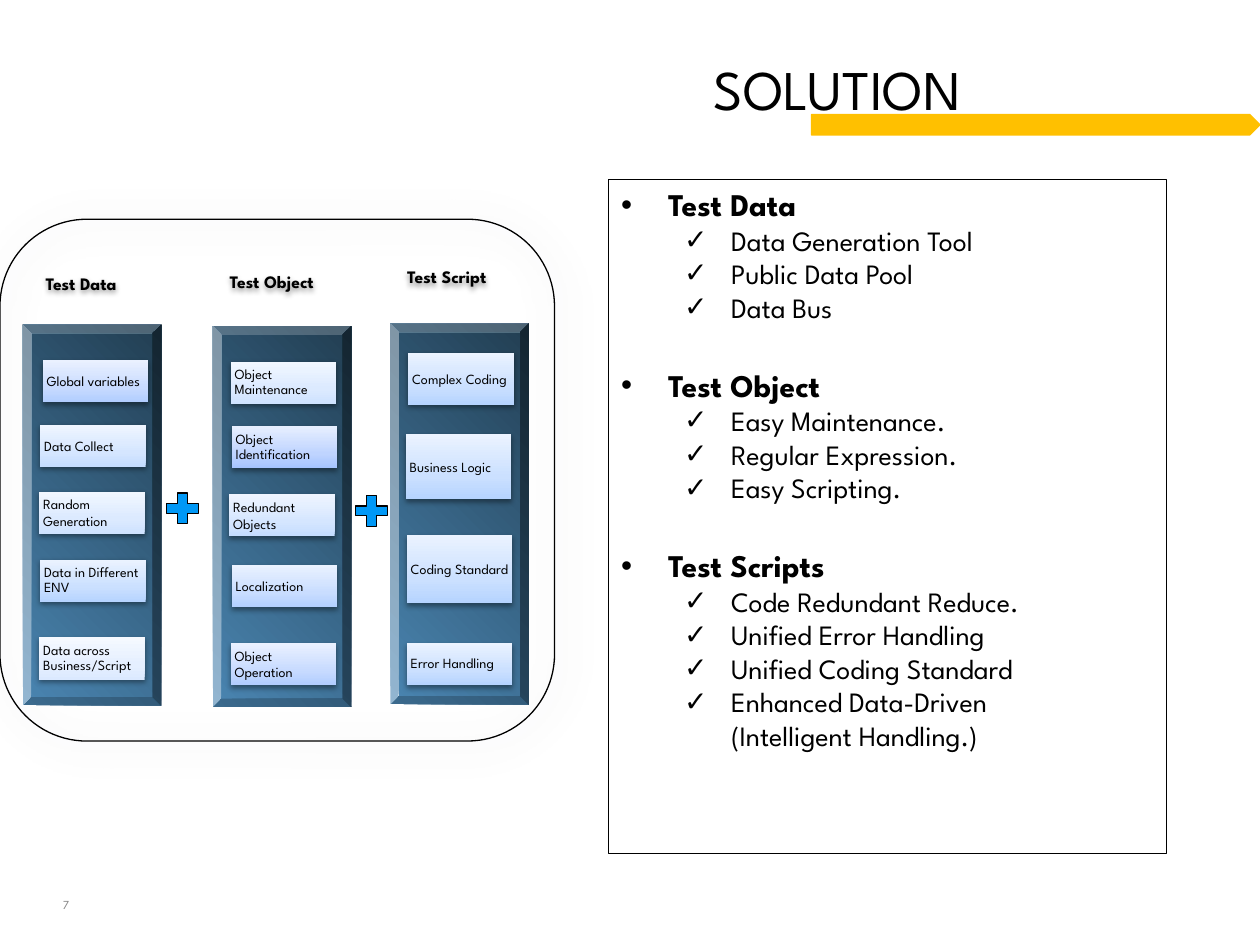
from dataclasses import dataclass
from typing import Optional

from pptx import Presentation
from pptx.dml.color import RGBColor
from pptx.enum.shapes import MSO_SHAPE
from pptx.enum.text import MSO_ANCHOR, MSO_AUTO_SIZE, PP_ALIGN
from pptx.oxml import parse_xml
from pptx.oxml.ns import nsdecls, qn
from pptx.util import Cm, Pt


@dataclass(frozen=True)
class Theme:
    font: str = "League Spartan"
    ink: str = "000000"
    muted: str = "878787"
    accent: str = "FFC000"
    plus: str = "0098F6"
    panel_shadow: str = "002060"
    pillar: tuple = ((0, "4A85B1"), (100, "223E52"))
    title_size: float = 32
    topic_size: float = 18
    point_size: float = 16
    heading_size: float = 10
    card_size: float = 8
    number_size: float = 7


@dataclass(frozen=True)
class Place:
    left: float
    top: float
    width: float
    height: float

    def lengths(self) -> tuple:
        return Cm(self.left), Cm(self.top), Cm(self.width), Cm(self.height)


@dataclass(frozen=True)
class Card:
    text: str
    left: float
    top: float
    tint: tuple
    height: float = 0.85
    spacing: float = 1.0


@dataclass(frozen=True)
class Column:
    heading: str
    heading_place: Place
    left: float
    top: float
    cards: tuple
    plus: Optional[Place] = None


@dataclass(frozen=True)
class Topic:
    name: str
    points: tuple


THEME = Theme()
INDIGO = ("A5C4FF", "BFD4FF", "E7EFFF")
PERIWINKLE = ("B1CDFF", "C8DBFF", "EAF1FF")
AZURE = ("B2D0FF", "C9DDFF", "EAF2FF")
SKY = ("B6D4FF", "CBE0FF", "EBF3FF")
POWDER = ("C5DDFF", "D5E6FF", "EFF5FF")
MIST = ("CFE3FF", "DCEAFF", "F1F7FF")
FROST = ("DBE9FF", "E5EFFF", "F5F9FF")

COLUMNS = (
    Column("Test Data", Place(0.84, 5.31, 2.13, 0.85), 0.46, 6.55, (
        Card("Global variables", 0.86, 7.26, PERIWINKLE),
        Card("Data Collect", 0.81, 8.56, POWDER),
        Card("Random Generation", 0.79, 9.91, MIST),
        Card("Data in Different ENV", 0.81, 11.28, SKY, spacing=0.9),
        Card("Data across Business/Script", 0.79, 12.85, FROST, spacing=0.9),
    )),
    Column("Test Object", Place(4.55, 5.23, 2.29, 0.94), 4.29, 6.58, (
        Card("Object Maintenance", 4.65, 7.29, MIST, spacing=0.9),
        Card("Object Identification", 4.67, 8.59, INDIGO, spacing=0.9),
        Card("Redundant Objects", 4.62, 9.96, POWDER),
        Card("Localization", 4.67, 11.39, AZURE),
        Card("Object Operation", 4.65, 12.96, PERIWINKLE),
    ), Place(3.25, 9.83, 0.86, 0.84)),
    Column("Test Script", Place(8.13, 5.18, 2.13, 0.85), 7.87, 6.53, (
        Card("Complex Coding", 8.23, 7.11, SKY, 1.05),
        Card("Business Logic", 8.18, 8.75, SKY, 1.31),
        Card("Coding Standard", 8.2, 10.78, SKY, 1.38),
        Card("Error Handling", 8.2, 12.96, SKY, spacing=0.9),
    ), Place(7.06, 9.88, 0.86, 0.84)),
)

TOPICS = (
    Topic("Test Data", ("Data Generation Tool", "Public Data Pool", "Data Bus")),
    Topic("Test Object", ("Easy Maintenance.", "Regular Expression.", "Easy Scripting.")),
    Topic("Test Scripts", ("Code Redundant Reduce.", "Unified Error Handling",
                           "Unified Coding Standard",
                           "Enhanced Data-Driven\n(Intelligent Handling.)")),
)


def add_box(shapes, kind, place: Place, *, fill=None, line=None, weight=0.75):
    box = shapes.add_shape(kind, *place.lengths())
    box.shadow.inherit = False
    if fill:
        box.fill.solid()
        box.fill.fore_color.rgb = RGBColor.from_string(fill)
    else:
        box.fill.background()
    if line:
        box.line.color.rgb = RGBColor.from_string(line)
        box.line.width = Pt(weight)
    else:
        box.line.fill.background()
    return box


def set_gradient(box, stops: tuple, angle: int) -> None:
    box.fill.gradient()
    current = box.element.spPr.find(qn("a:gradFill"))
    marks = "".join(f'<a:gs pos="{position * 1000}"><a:srgbClr val="{color}"/></a:gs>'
                    for position, color in stops)
    current.getparent().replace(current, parse_xml(
        f'<a:gradFill {nsdecls("a")} rotWithShape="1"><a:gsLst>{marks}</a:gsLst>'
        f'<a:lin ang="{angle * 60000}" scaled="0"/></a:gradFill>'))


def set_shadow(box, color=THEME.ink, alpha=38, blur=3.1, distance=1.6, angle=90) -> None:
    box.element.spPr.find(qn("a:effectLst")).append(parse_xml(
        f'<a:outerShdw {nsdecls("a")} blurRad="{Pt(blur)}" dist="{Pt(distance)}" '
        f'dir="{angle * 60000}" algn="ctr" rotWithShape="0"><a:srgbClr val="{color}">'
        f'<a:alpha val="{alpha * 1000}"/></a:srgbClr></a:outerShdw>'))


def write(para, text: str, *, size: float, color=THEME.ink, bold=False, spacing=None) -> None:
    para.alignment = PP_ALIGN.LEFT
    if spacing:
        para.line_spacing = spacing
    for index, line in enumerate(text.split("\n")):
        if index:
            para.add_line_break()
        span = para.add_run()
        span.text = line
        span.font.name = THEME.font
        span.font.size = Pt(size)
        span.font.bold = bold
        span.font.color.rgb = RGBColor.from_string(color)


def write_label(box, text: str, **style) -> None:
    frame = box.text_frame
    frame.word_wrap = True
    frame.vertical_anchor = MSO_ANCHOR.MIDDLE
    frame.margin_left = frame.margin_right = frame.margin_top = frame.margin_bottom = Cm(0.08)
    write(frame.paragraphs[0], text, **style)


def set_bullet(para, symbol: str, indent: float) -> None:
    properties = para._p.get_or_add_pPr()
    properties.set("marL", str(Cm(indent)))
    properties.set("indent", str(-Cm(0.95)))
    properties.append(parse_xml(f'<a:buFont {nsdecls("a")} typeface="Arial"/>'))
    properties.append(parse_xml(f'<a:buChar {nsdecls("a")} char="{symbol}"/>'))


def add_title(slide) -> None:
    title = slide.shapes.title
    title.left, title.top, title.width, title.height = Place(0.94, 1.17, 23.27, 2.44).lengths()
    frame = title.text_frame
    frame.auto_size = MSO_AUTO_SIZE.NONE
    frame.vertical_anchor = MSO_ANCHOR.TOP
    frame.margin_left = Cm(13.45)
    write(frame.paragraphs[0], "SOLUTION", size=THEME.title_size, spacing=Pt(33))
    arrow = add_box(slide.shapes, MSO_SHAPE.PENTAGON, Place(16.36, 2.31, 9.04, 0.41),
                    fill=THEME.accent, line=THEME.accent)
    title.element.addprevious(arrow.element)


def add_topics(slide) -> None:
    box = add_box(slide.shapes, MSO_SHAPE.RECTANGLE, Place(12.27, 3.61, 11.25, 13.59),
                  line=THEME.ink, weight=0.25)
    frame = box.text_frame
    frame.word_wrap = True
    frame.vertical_anchor = MSO_ANCHOR.TOP
    for index, topic in enumerate(TOPICS):
        para = frame.add_paragraph() if index else frame.paragraphs[0]
        set_bullet(para, "•", 0.95)
        if index:
            para.space_before = Pt(24)
        write(para, topic.name, size=THEME.topic_size, bold=True)
        for point in topic.points:
            para = frame.add_paragraph()
            para.level = 1
            set_bullet(para, "✓", 2.22)
            write(para, point, size=THEME.point_size)


def add_column(slide, column: Column) -> None:
    heading = add_box(slide.shapes, MSO_SHAPE.RECTANGLE, column.heading_place)
    set_shadow(heading)
    write_label(heading, column.heading, size=THEME.heading_size, bold=True, spacing=0.9)
    shapes = slide.shapes.add_group_shape().shapes
    pillar = add_box(shapes, MSO_SHAPE.BEVEL, Place(column.left, column.top, 2.79, 7.67))
    pillar.adjustments[0] = 0.06
    set_gradient(pillar, THEME.pillar, 315)
    for card in column.cards:
        box = add_box(shapes, MSO_SHAPE.RECTANGLE, Place(card.left, card.top, 2.13, card.height))
        set_gradient(box, tuple(zip((0, 35, 100), card.tint)), 270)
        set_shadow(box)
        write_label(box, card.text, size=THEME.card_size, spacing=card.spacing)
    if column.plus:
        add_box(shapes, MSO_SHAPE.MATH_PLUS, column.plus, fill=THEME.plus, line=THEME.ink)


def main() -> None:
    deck = Presentation()
    deck.slide_width, deck.slide_height = Cm(25.4), Cm(19.05)
    page = deck.slides.add_slide(deck.slide_layouts[5])
    add_title(page)
    add_topics(page)
    panel = add_box(page.shapes, MSO_SHAPE.ROUNDED_RECTANGLE, Place(0, 4.42, 11.18, 10.52),
                    line=THEME.ink)
    set_shadow(panel, THEME.panel_shadow, alpha=40, blur=23, distance=3, angle=45)
    for column in COLUMNS:
        add_column(page, column)
    number = page.shapes.add_textbox(*Place(1.02, 17.96, 1.07, 0.56).lengths())
    write(number.text_frame.paragraphs[0], "7", size=THEME.number_size, color=THEME.muted)
    deck.save("out.pptx")


if __name__ == "__main__":
    main()
